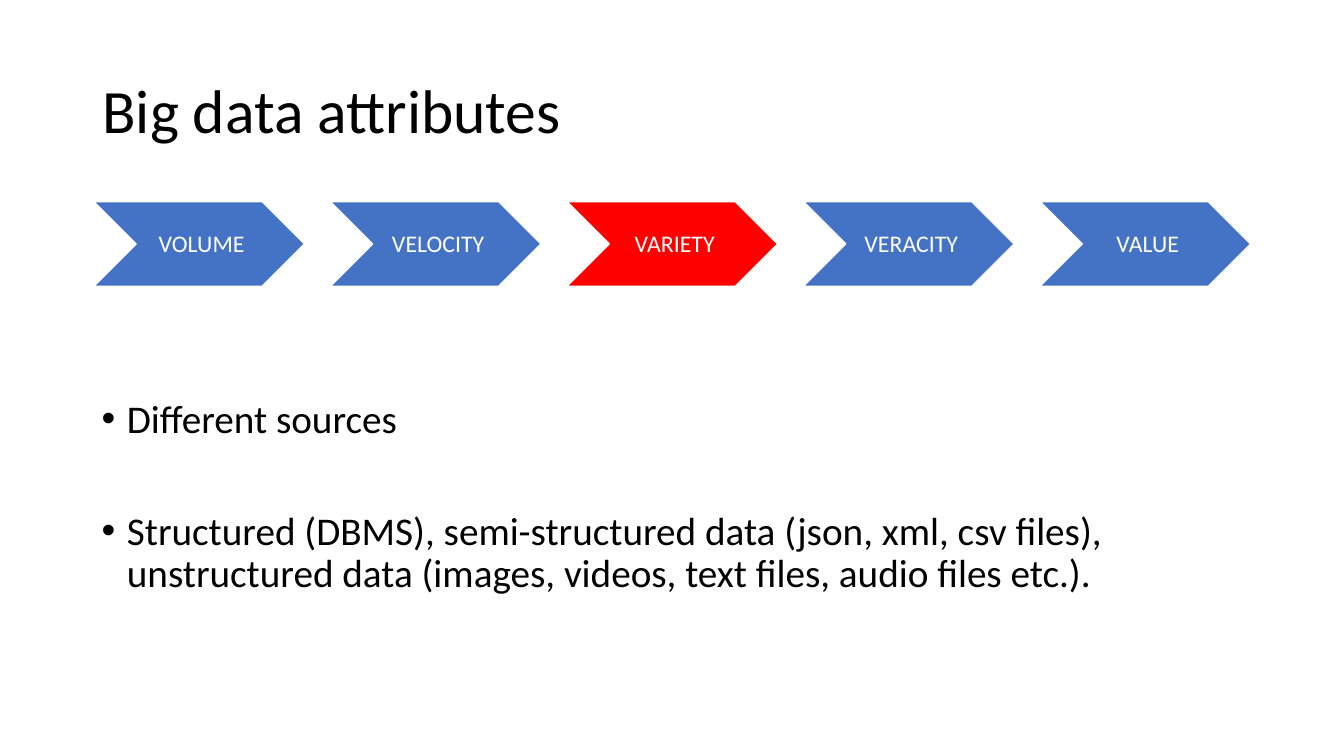
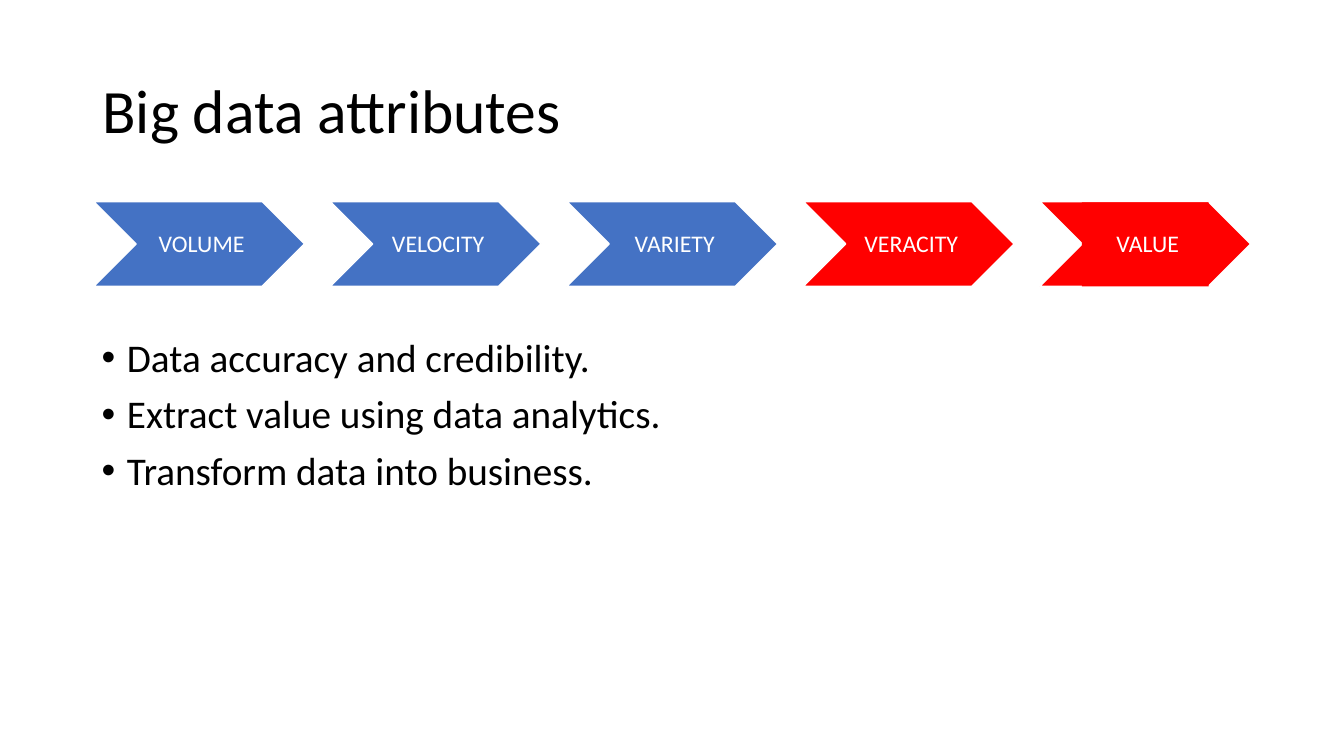
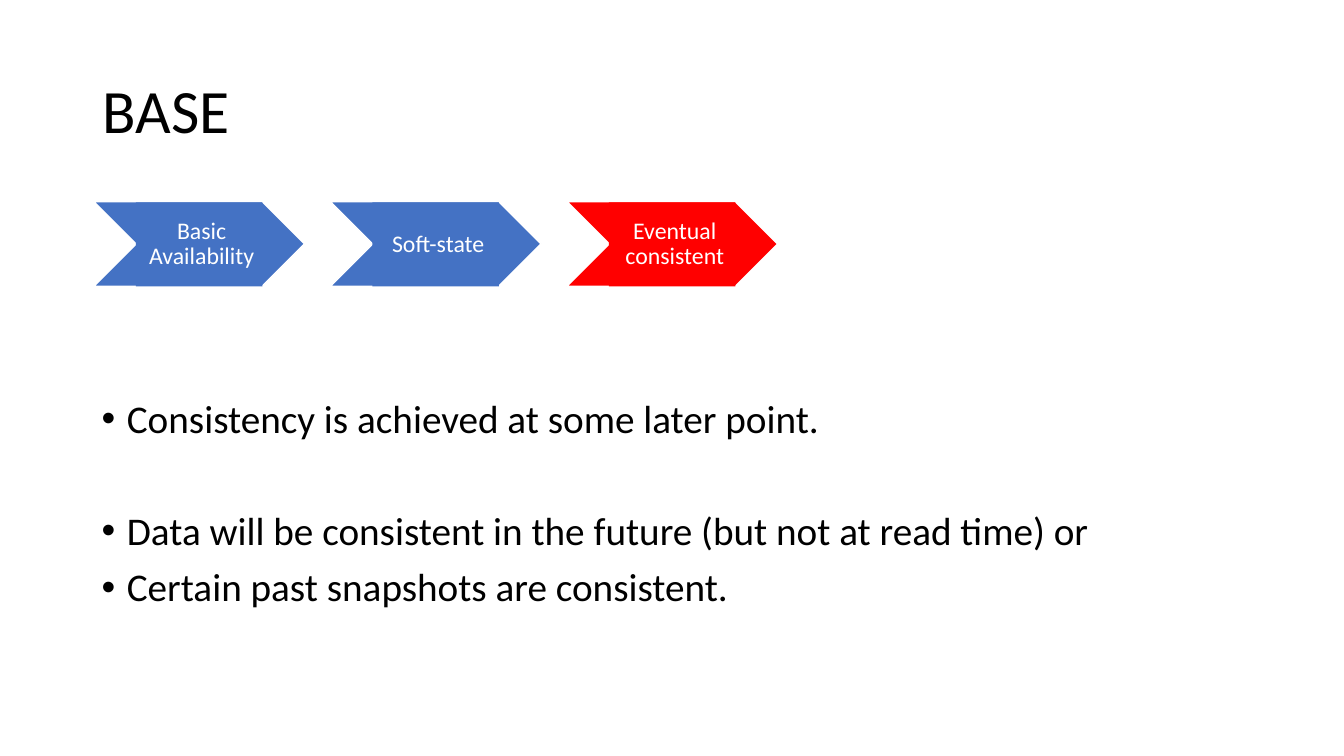
from lxml.etree import SubElement
from pptx import Presentation
from pptx.dml.color import RGBColor
from pptx.enum.shapes import MSO_SHAPE
from pptx.enum.text import MSO_ANCHOR, MSO_AUTO_SIZE, PP_ALIGN
from pptx.oxml.ns import qn
from pptx.util import Inches, Pt

HUES = {"ink": "000000", "paper": "FFFFFF", "step": "4472C4", "focus": "FF0000"}
FACE = "Calibri"
TRAITS = ["VOLUME", "VELOCITY", "VARIETY", "VERACITY", "VALUE"]


def hue(name):
    """Look up a named colour."""
    return RGBColor.from_string(HUES[name])


class Deck:
    """Holds the style and the current slide; lengths are percent of its size."""

    def __init__(self):
        """Start an empty wide deck."""
        self.prs = Presentation()
        self.prs.slide_width, self.prs.slide_height = Inches(13.333), Inches(7.5)

    def box(self, left, top, width, height):
        """Turn percent shares into lengths."""
        wide, high = self.prs.slide_width / 100, self.prs.slide_height / 100
        return int(left * wide), int(top * high), int(width * wide), int(height * high)

    def style(self, para, size, tint, align):
        """Set the font, spacing and alignment of a paragraph."""
        para.alignment, para.line_spacing = align, 0.9
        para.font.name, para.font.size = FACE, Pt(size)
        para.font.color.rgb = hue(tint)

    def title(self, text):
        """Add a slide with its title."""
        self.slide = self.prs.slides.add_slide(self.prs.slide_layouts[5])
        head = self.slide.shapes.title
        head.left, head.top, head.width, head.height = self.box(6.88, 5.32, 86.25, 19.33)
        frame = head.text_frame
        frame.text = text
        frame.vertical_anchor = MSO_ANCHOR.MIDDLE
        frame.auto_size = MSO_AUTO_SIZE.NONE
        self.style(frame.paragraphs[0], 44, "ink", PP_ALIGN.LEFT)

    def points(self, items, drop=0, gap=10, align=PP_ALIGN.LEFT):
        """Add bullets, 'drop' inches down, with 'gap' points above the second."""
        body = self.slide.shapes.add_textbox(*self.box(6.83, 44.13, 86.25, 46.4))
        frame = body.text_frame
        frame.word_wrap = True
        frame.margin_top = Inches(0.05 + drop)
        for rank, item in enumerate(items):
            para = frame.paragraphs[0] if rank == 0 else frame.add_paragraph()
            para.text = item
            props = para._p.get_or_add_pPr()
            props.set("marL", str(Inches(0.25)))
            props.set("indent", str(Inches(-0.25)))
            SubElement(props, qn("a:buFont"), typeface="Arial")
            SubElement(props, qn("a:buChar"), char="•")
            para.space_before = Pt(gap if rank == 1 else 10)
            self.style(para, 28, "ink", align)

    def block(self, group, kind, place, tint=None):
        """Add a plain shape to a group, filled if a tint is given."""
        shape = group.shapes.add_shape(kind, *self.box(*place))
        shape.shadow.inherit = False
        shape.line.fill.background()
        if tint:
            shape.fill.solid()
            shape.fill.fore_color.rgb = hue(tint)
        else:
            shape.fill.background()
        return shape

    def steps(self, names, focus, plates=()):
        """Add a row of chevrons; those in 'plates' have filled labels."""
        left, top, width, height = 6.98, 26.67, 15.68, 11.2
        pitch, inset = 17.6, 3.13
        for rank, name in enumerate(names):
            tint = "focus" if name in focus else "step"
            start = left + rank * pitch
            group = self.slide.shapes.add_group_shape()
            arrow = self.block(group, MSO_SHAPE.CHEVRON, (start, top, width, height), tint)
            arrow.line.color.rgb = hue("paper")
            arrow.line.width = Pt(1)
            place = start + inset, top + 0.1, width - 2 * inset, height - 0.1
            label = self.block(group, MSO_SHAPE.RECTANGLE, place,
                               tint if name in plates else None)
            frame = label.text_frame
            frame.text, frame.word_wrap = name, True
            frame.vertical_anchor = MSO_ANCHOR.MIDDLE
            frame.margin_left = Inches(0.07)
            frame.margin_top = frame.margin_right = frame.margin_bottom = Inches(0.02)
            self.style(frame.paragraphs[0], 17, "paper", PP_ALIGN.CENTER)


deck = Deck()

deck.title("Big data attributes")
deck.points(["Different sources",
             "Structured (DBMS), semi-structured data (json, xml, csv files), "
             "unstructured data (images, videos, text files, audio files etc.)."],
            drop=0.6, gap=50)
deck.steps(TRAITS, ["VARIETY"])

deck.title("Big data attributes")
deck.points(["Data accuracy and credibility.",
             "Extract value using data analytics.",
             "Transform data into business."])
deck.steps(TRAITS, ["VERACITY", "VALUE"], ["VALUE"])

deck.title("BASE")
deck.points(["Consistency is achieved at some later point.",
             "Data will be consistent in the future (but not at read time) or",
             "Certain past snapshots are consistent."],
            drop=0.6, gap=50, align=PP_ALIGN.JUSTIFY)
phases = ["Basic Availability", "Soft-state", "Eventual consistent"]
deck.steps(phases, ["Eventual consistent"], phases)

deck.prs.save("out.pptx")
